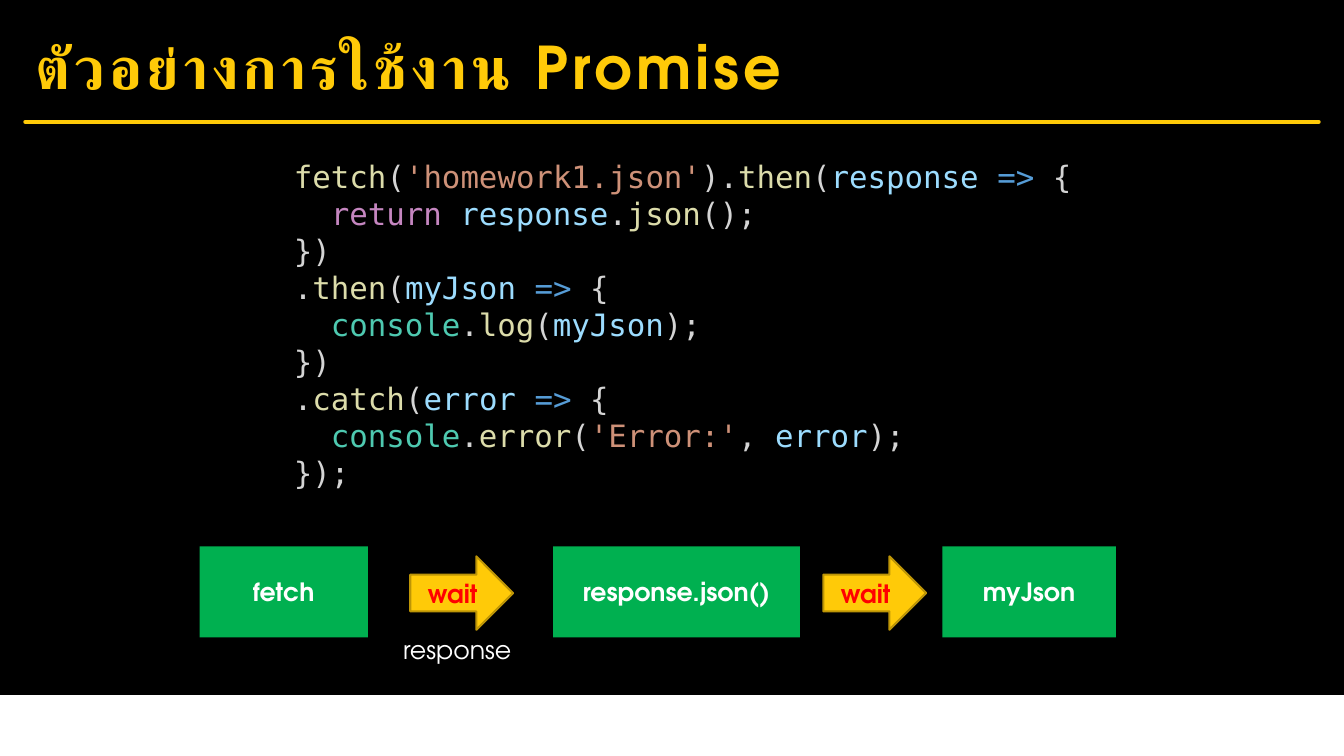
from pptx import Presentation
from pptx import util as u
from pptx.dml import color
from pptx.enum import shapes, text
from pptx.oxml import ns
from lxml import etree

BODY_FONT = "TeX Gyre Adventor"
CODE_FONT = "DejaVu Sans Mono"
BLACK, WHITE, GOLD = "000000", "FFFFFF", "FFCA08"
GREEN, RED, ARROW_EDGE = "00B050", "FF0000", "BD9506"

CALL, PLAIN, STRING, VARIABLE = "DCDCAA", "D4D4D4", "CE9178", "9CDCFE"
OPERATOR, KEYWORD, OBJECT = "569CD6", "C586C0", "4EC9B0"
OPEN_ARROW = [("=>", OPERATOR), (" {", PLAIN)]
CODE = [
    (0, [("fetch", CALL), ("(", PLAIN), ("'homework1.json'", STRING), (").", PLAIN),
         ("then", CALL), ("(", PLAIN), ("response ", VARIABLE), *OPEN_ARROW]),
    (1, [("return ", KEYWORD), ("response", VARIABLE), (".", PLAIN),
         ("json", CALL), ("();", PLAIN)]),
    (0, [("})", PLAIN)]),
    (0, [(".", PLAIN), ("then", CALL), ("(", PLAIN), ("myJson ", VARIABLE), *OPEN_ARROW]),
    (1, [("console", OBJECT), (".", PLAIN), ("log", CALL), ("(", PLAIN),
         ("myJson", VARIABLE), (");", PLAIN)]),
    (0, [("})", PLAIN)]),
    (0, [(".", PLAIN), ("catch", CALL), ("(", PLAIN), ("error ", VARIABLE), *OPEN_ARROW]),
    (1, [("console", OBJECT), (".", PLAIN), ("error", CALL), ("(", PLAIN),
         ("'Error:'", STRING), (", ", PLAIN), ("error", VARIABLE), (");", PLAIN)]),
    (0, [("});", PLAIN)]),
]


def rgb(value):
    return color.RGBColor.from_string(value)


def add_run(paragraph, words, size, tint, bold=False, font=BODY_FONT):
    run = paragraph.add_run()
    run.text = words
    run.font.name = font
    run.font.size = u.Pt(size)
    run.font.bold = bold
    run.font.color.rgb = rgb(tint)
    return run


def add_text_box(slide, left, top, width, height):
    box = slide.shapes.add_textbox(u.Cm(left), u.Cm(top), u.Cm(width), u.Cm(height))
    box.text_frame.word_wrap = True
    return box.text_frame


def add_block(slide, kind, left, top, width, height, fill, edge=None, words=None, tint=WHITE):
    shape = slide.shapes.add_shape(kind, u.Cm(left), u.Cm(top), u.Cm(width), u.Cm(height))
    shape.shadow.inherit = False
    shape.fill.solid()
    shape.fill.fore_color.rgb = rgb(fill)
    if edge:
        shape.line.color.rgb = rgb(edge)
        shape.line.width = u.Pt(1.5)
    else:
        shape.line.fill.background()
    if words:
        shape.text_frame.vertical_anchor = text.MSO_ANCHOR.MIDDLE
        paragraph = shape.text_frame.paragraphs[0]
        paragraph.alignment = text.PP_ALIGN.CENTER
        add_run(paragraph, words, 18, tint, bold=True)


def add_footer(slide, left, top, width, height):
    add_block(slide, shapes.MSO_SHAPE.RECTANGLE, left, top, width, height, WHITE, WHITE)


def add_header(slide, left, top, width, height):
    rule_top = top + height
    rule = slide.shapes.add_connector(
        shapes.MSO_CONNECTOR.STRAIGHT,
        u.Cm(left), u.Cm(rule_top), u.Cm(left + width), u.Cm(rule_top))
    rule.line.color.rgb = rgb(GOLD)
    rule.line.width = u.Pt(3)
    rule.line._get_or_add_ln().set("cap", "rnd")
    etree.SubElement(rule._element.spPr, ns.qn("a:effectLst"))

    frame = add_text_box(slide, left, top, width, height - 0.15)
    frame.vertical_anchor = text.MSO_ANCHOR.MIDDLE
    run = add_run(frame.paragraphs[0], "ตัวอย่างการใช้งาน Promise", 42, GOLD, bold=True)
    properties = run.font._element
    properties.set("spc", "300")
    etree.SubElement(properties, ns.qn("a:cs")).set("typeface", BODY_FONT)


def add_code(slide, left, top, width, height):
    frame = add_text_box(slide, left, top, width, height)
    for index, (level, tokens) in enumerate(CODE):
        paragraph = frame.add_paragraph() if index else frame.paragraphs[0]
        paragraph.line_spacing = u.Pt(26.4)
        if level:
            properties = paragraph._p.get_or_add_pPr()
            properties.set("marL", str(u.Cm(0.93 * level)))
            properties.set("indent", "0")
        for words, tint in tokens:
            add_run(paragraph, words, 22, tint, font=CODE_FONT)


def add_flow(slide, left, top, height):
    for offset, width, words in [(0, 4.24, "fetch"), (8.91, 6.22, "response.json()"),
                                 (18.72, 4.37, "myJson")]:
        add_block(slide, shapes.MSO_SHAPE.RECTANGLE, left + offset, top, width, height,
                  GREEN, words=words)
    arrow_height = 1.85
    arrow_top = top + (height - arrow_height) / 2 + 0.03
    for offset in (5.31, 15.72):
        add_block(slide, shapes.MSO_SHAPE.RIGHT_ARROW, left + offset, arrow_top, 2.59,
                  arrow_height, GOLD, ARROW_EDGE, "wait", RED)
    label = add_text_box(slide, left + 4.88, top + 2.08, 3.66, 1.02)
    add_run(label.paragraphs[0], "response", 18, WHITE)


def main():
    presentation = Presentation()
    presentation.slide_width = u.Cm(33.87)
    presentation.slide_height = u.Cm(19.05)
    slide = presentation.slides.add_slide(presentation.slide_layouts[6])
    slide.background.fill.solid()
    slide.background.fill.fore_color.rgb = rgb(BLACK)
    add_footer(slide, 0, 17.53, 33.87, 1.5)
    add_header(slide, 0.64, 0.43, 32.59, 2.64)
    add_flow(slide, 5.03, 13.77, 2.29)
    add_code(slide, 7.16, 3.86, 20.45, 8.71)
    presentation.save("out.pptx")


if __name__ == "__main__":
    main()
